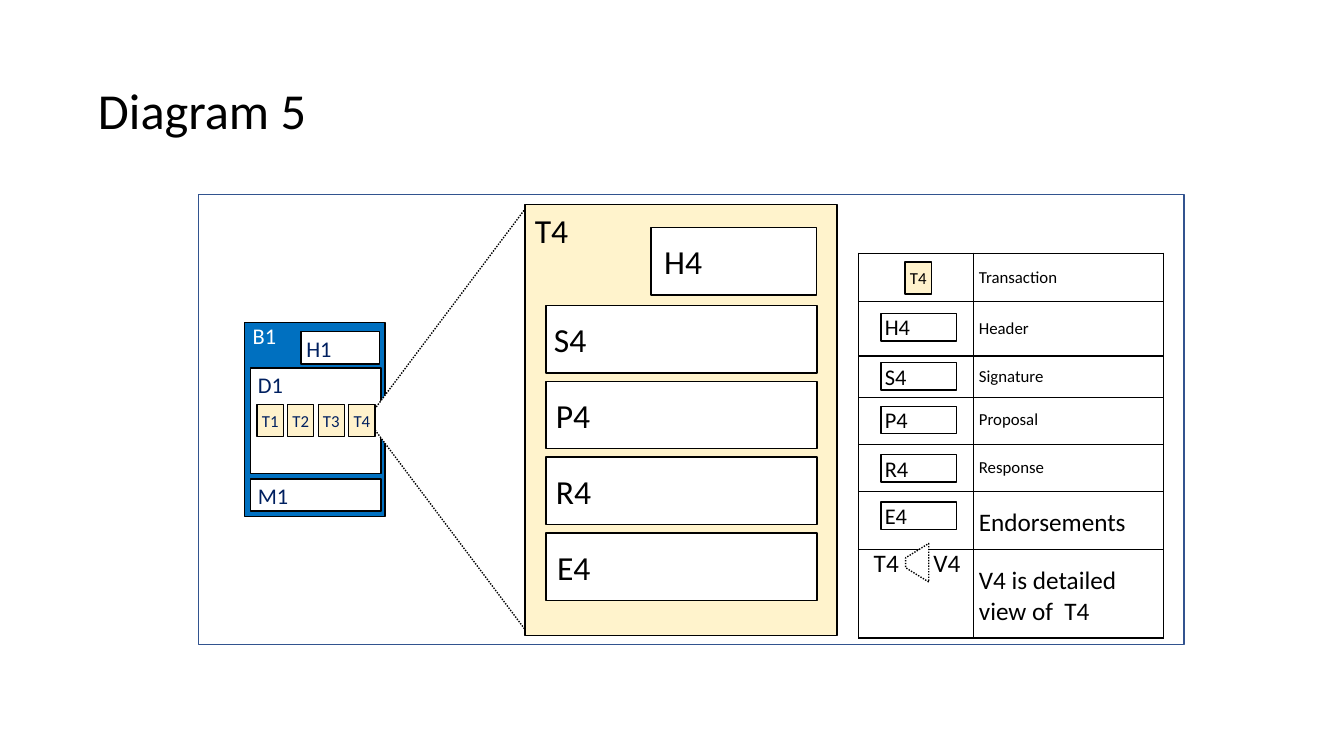
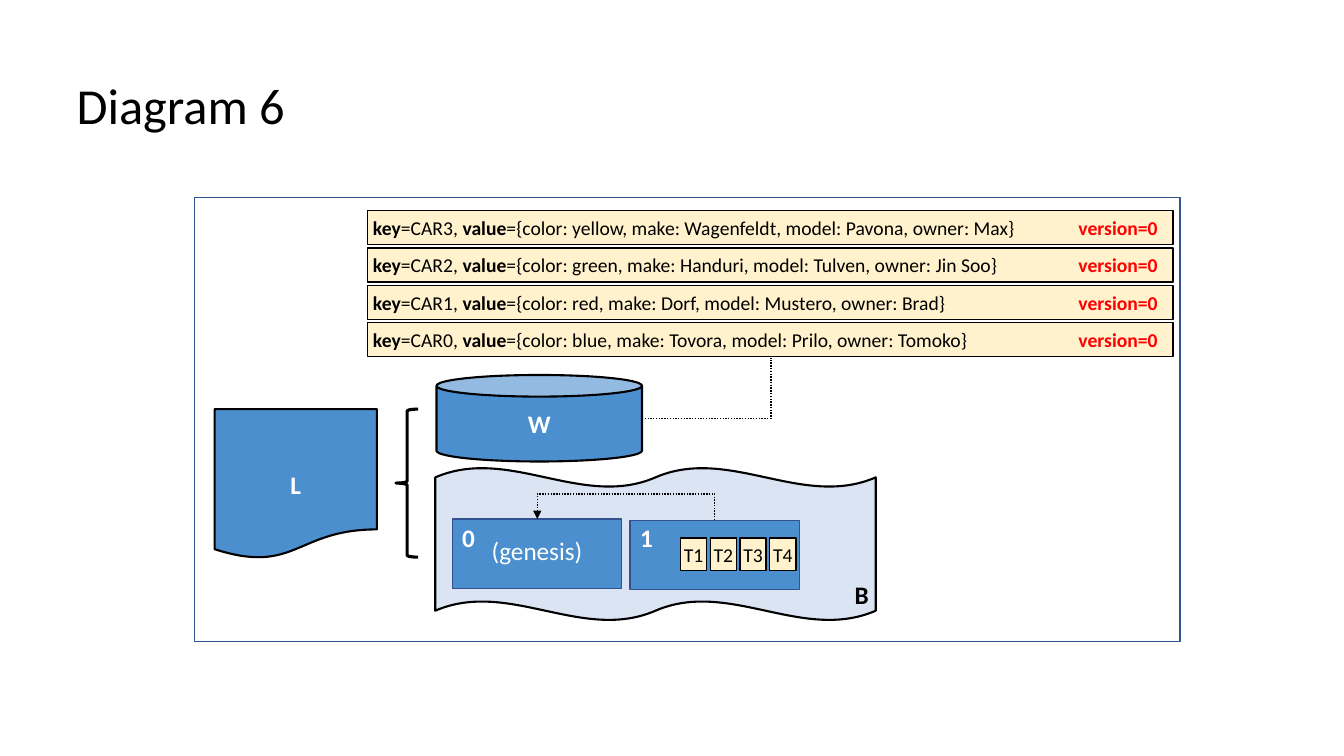
from dataclasses import dataclass, replace
from typing import Any, NamedTuple, Optional

from lxml import etree
from pptx import Presentation
from pptx.dml.color import RGBColor
from pptx.enum.dml import MSO_LINE
from pptx.enum.shapes import MSO_CONNECTOR, MSO_SHAPE
from pptx.enum.text import MSO_ANCHOR, PP_ALIGN
from pptx.oxml.ns import qn
from pptx.util import Cm, Pt

LEFT, CENTER = PP_ALIGN.LEFT, PP_ALIGN.CENTER
TOP, MIDDLE = MSO_ANCHOR.TOP, MSO_ANCHOR.MIDDLE
RECT, TRAPEZOID = MSO_SHAPE.RECTANGLE, MSO_SHAPE.TRAPEZOID
WAVE, DOCUMENT = MSO_SHAPE.DOUBLE_WAVE, MSO_SHAPE.FLOWCHART_DOCUMENT
BRACE, CAN = MSO_SHAPE.LEFT_BRACE, MSO_SHAPE.CAN
ELBOW, DOTTED = MSO_CONNECTOR.ELBOW, MSO_LINE.ROUND_DOT

FONT = "Calibri"
BLACK, WHITE, NAVY, RED = "000000", "FFFFFF", "002060", "FF0000"
BLUE, MID_BLUE, PALE_BLUE, EDGE = "0070C0", "4C8FCF", "DBE4F3", "32538F"
CREAM, PANEL = "FFF2CC", "FFF3CC"


class Box(NamedTuple):
    """Position and size in centimetres."""
    left: float
    top: float
    width: float
    height: float


class Run(NamedTuple):
    """A piece of text that may differ from its style."""
    text: str
    bold: bool = False
    color: Optional[str] = None


@dataclass(frozen=True)
class Look:
    """Fill and outline of a shape."""
    fill: Optional[str] = WHITE
    line: Optional[str] = BLACK
    weight: float = 1
    dash: Any = None


@dataclass(frozen=True)
class Style:
    """Text format; insets run left, top, right, bottom in centimetres."""
    size: float = 18
    color: str = BLACK
    bold: bool = False
    align: Any = LEFT
    anchor: Any = TOP
    insets: tuple[float, float, float, float] = (0.13, 0.13, 0.13, 0.13)
    spacing: Optional[float] = None
    tab: Optional[float] = None


class Field(NamedTuple):
    """A labelled field with its own text indent."""
    label: str
    box: Box
    indent: float


class LegendRow(NamedTuple):
    """One row of the legend table; key_top places its key box."""
    meaning: str
    height: float
    size: float = 12
    top_inset: float = 0.13
    bottom_inset: float = 0.13
    key: str = ""
    key_top: float = 0


class Car(NamedTuple):
    """One record of the world state."""
    key: str
    color: str
    make: str
    model: str
    owner: str


PLAIN, BARE = Look(), Look(None, None)
FRAME, BLOCK = Look(None, EDGE), Look(MID_BLUE, EDGE)
TOKEN, LEDGER = Look(CREAM), Look(MID_BLUE, weight=1.5)
ZOOM = Look(dash=DOTTED)
TITLE = Style(36, spacing=0.9)
TOKEN_TEXT = Style(12, NAVY, align=CENTER, anchor=MIDDLE, insets=(0, 0, 0, 0))
LEDGER_TEXT = Style(18, WHITE, True, CENTER, MIDDLE, (0.13, 0.3, 0.13, 0.3))
NUMBER_TEXT = Style(18, WHITE, True, insets=(0.25, 0.13, 0.25, 0.13))

BLOCK_PARTS = [
    Field("D1", Box(6.32, 9.27, 3.28, 2.67), 0.18),
    Field("M1", Box(6.32, 12.07, 3.28, 0.81), 0.18),
    Field("H1", Box(7.59, 8.36, 1.98, 0.81), 0.13),
]
HEADER_FIELD = Field("H4", Box(16.41, 5.74, 4.17, 1.7), 0.33)
FIELD_INDENTS = {"S4": 0.2, "P4": 0.25, "R4": 0.25, "E4": 0.28}
LEGEND = [
    LegendRow("Transaction", 1.22),
    LegendRow("Header", 1.37, key="H4", key_top=7.9),
    LegendRow("Signature", 1.04, key="S4", key_top=9.14),
    LegendRow("Proposal", 1.19, top_inset=0.1, key="P4", key_top=10.24),
    LegendRow("Response", 1.19, key="R4", key_top=11.46),
    LegendRow("Endorsements", 0.94, 18, 0.4, 0.3, "E4", 12.65),
    LegendRow("V4 is detailed view of  T4", 0.94, 18, 0.4, 0.3),
]
CARS = [
    Car("CAR3", "yellow", "Wagenfeldt", "Pavona", "Max"),
    Car("CAR2", "green", "Handuri", "Tulven", "Jin Soo"),
    Car("CAR1", "red", "Dorf", "Mustero", "Brad"),
    Car("CAR0", "blue", "Tovora", "Prilo", "Tomoko"),
]


def rgb(value: str) -> RGBColor:
    """Turn a hex string into a colour."""
    return RGBColor.from_string(value)


def assign(target: Any, values: dict[str, Any]) -> None:
    """Set each named attribute on the target."""
    for name, value in values.items():
        setattr(target, name, value)


def lengths(box: Box) -> list[Cm]:
    """Convert a box to slide lengths."""
    return [Cm(value) for value in box]


def write(holder: Any, frame: Any, runs: list[Run], style: Style) -> None:
    """Write one paragraph; the holder owns insets and anchor."""
    sides = ("margin_left", "margin_top", "margin_right", "margin_bottom")
    assign(holder, dict(zip(sides, map(Cm, style.insets))))
    assign(holder, {"vertical_anchor": style.anchor, "word_wrap": True})
    paragraph = frame.paragraphs[0]
    assign(paragraph, {"alignment": style.align, "line_spacing": style.spacing})
    if style.tab:
        stops = etree.SubElement(paragraph._p.get_or_add_pPr(), qn("a:tabLst"))
        etree.SubElement(stops, qn("a:tab"), pos=str(Cm(style.tab)), algn="l")
    for part in runs:
        run = paragraph.add_run()
        run.text = part.text
        assign(run.font, {"name": FONT, "size": Pt(style.size),
                          "bold": part.bold or style.bold})
        run.font.color.rgb = rgb(part.color or style.color)


def outline(line: Any, look: Look) -> None:
    """Format a shape outline or a connector."""
    if look.line is None:
        line.fill.background()
        return
    line.color.rgb = rgb(look.line)
    assign(line, {"width": Pt(look.weight), "dash_style": look.dash})


def shape(slide: Any, kind: Any, box: Box, look: Look, text: str | list[Run] = "",
          style: Style = Style()) -> Any:
    """Draw a preset shape with optional text."""
    drawn = slide.shapes.add_shape(kind, *lengths(box))
    drawn.shadow.inherit = False
    if look.fill:
        drawn.fill.solid()
        drawn.fill.fore_color.rgb = rgb(look.fill)
    else:
        drawn.fill.background()
    outline(drawn.line, look)
    if text:
        runs = [Run(text)] if isinstance(text, str) else text
        write(drawn.text_frame, drawn.text_frame, runs, style)
    return drawn


def label(slide: Any, box: Box, text: str, style: Style) -> None:
    """Place text without a visible shape."""
    frame = slide.shapes.add_textbox(*lengths(box)).text_frame
    write(frame, frame, [Run(text)], style)


def zoom(slide: Any, box: Box, slope: float) -> None:
    """Draw a dotted trapezoid that opens to the right."""
    cone = shape(slide, TRAPEZOID, box, ZOOM)
    cone.rotation = 270
    cone.adjustments[0] = slope


def tokens(slide: Any, left: float, top: float, pitch: float, style: Style) -> None:
    """Draw the row of four transactions."""
    for index in range(4):
        box = Box(left + index * pitch, top, 0.66, 0.81)
        shape(slide, RECT, box, TOKEN, f"T{index + 1}", style)


def elbow(slide: Any, begin: tuple[float, float], end: tuple[float, float],
          preset: str, turn: int = 0, bend: Optional[float] = None,
          arrow: bool = False) -> None:
    """Draw a dotted elbow connector; begin and end apply before the turn."""
    link = slide.shapes.add_connector(ELBOW, *map(Cm, begin + end))
    outline(link.line, ZOOM)
    properties = link._element.spPr
    geometry = properties.find(qn("a:prstGeom"))
    geometry.set("prst", preset)
    if turn:
        properties.find(qn("a:xfrm")).set("rot", str(turn * 60000))
    if bend is not None:
        guides = geometry.find(qn("a:avLst"))
        if guides is None:
            guides = etree.SubElement(geometry, qn("a:avLst"))
        etree.SubElement(guides, qn("a:gd"), name="adj1",
                         fmla=f"val {round(bend * 100000)}")
    if arrow:
        etree.SubElement(properties.find(qn("a:ln")), qn("a:tailEnd"), type="triangle")
    etree.SubElement(properties, qn("a:effectLst"))


def border(cell: Any) -> None:
    """Give a cell four black borders and no fill."""
    cell.fill.background()
    for index, side in enumerate(("lnL", "lnR", "lnT", "lnB")):
        edge = etree.Element(qn(f"a:{side}"), w=str(Pt(1)))
        fill = etree.SubElement(edge, qn("a:solidFill"))
        etree.SubElement(fill, qn("a:srgbClr"), val=BLACK)
        cell._tc.get_or_add_tcPr().insert(index, edge)


def legend(slide: Any) -> None:
    """Draw the legend table and its keys."""
    box = Box(21.64, 6.38, 7.68, sum(row.height for row in LEGEND))
    table = slide.shapes.add_table(len(LEGEND), 2, *lengths(box)).table
    assign(table, {"first_row": False, "horz_banding": False})
    for column, width in zip(table.columns, (2.9, 4.78)):
        column.width = Cm(width)
    for index, entry in enumerate(LEGEND):
        table.rows[index].height = Cm(entry.height)
        for cell in table.rows[index].cells:
            border(cell)
        meaning = table.cell(index, 1)
        insets = (0.13, entry.top_inset, 0.13, entry.bottom_inset)
        style = Style(entry.size, anchor=MIDDLE, insets=insets)
        write(meaning, meaning.text_frame, [Run(entry.meaning)], style)
        if entry.key:
            shape(slide, RECT, Box(22.2, entry.key_top, 1.9, 0.69), PLAIN,
                  entry.key, Style(16, insets=(0.1, 0, 0.13, 0.13)))
    shape(slide, RECT, Box(22.81, 6.6, 0.66, 0.81), TOKEN, "T4",
          replace(TOKEN_TEXT, color=BLACK))
    label(slide, Box(21.89, 13.67, 2.46, 1.02), "T4\tV4", Style(tab=1.5))
    zoom(slide, Box(22.63, 13.89, 0.97, 0.58), 0.62)


def transaction_slide(slide: Any) -> None:
    """Show a block and the detail of its fourth transaction."""
    label(slide, Box(2.34, 1.02, 29.21, 3.68), "Diagram 5",
          replace(TITLE, anchor=MIDDLE))
    shape(slide, RECT, Box(5, 4.9, 24.84, 11.35), FRAME)
    shape(slide, RECT, Box(6.17, 8.13, 3.53, 4.88), Look(BLUE), "B1",
          Style(16, WHITE, insets=(0.2, 0, 0, 0)))
    for part in BLOCK_PARTS:
        shape(slide, RECT, part.box, PLAIN, part.label,
              Style(16, NAVY, insets=(part.indent, 0.08, 0, 0)))
    zoom(slide, Box(6.02, 8.66, 10.67, 3.81), 1.33)
    tokens(slide, 6.48, 10.19, 0.77, TOKEN_TEXT)
    shape(slide, RECT, Box(13.23, 5.16, 7.87, 10.85), Look(PANEL), "T4",
          Style(24, insets=(0.25, 0.13, 0.25, 0.13)))
    stacked = [Field(name, Box(13.76, 7.7 + 1.91 * index, 6.83, 1.7), indent)
               for index, (name, indent) in enumerate(FIELD_INDENTS.items())]
    for field in [HEADER_FIELD, *stacked]:
        shape(slide, RECT, field.box, PLAIN, field.label,
              Style(24, anchor=MIDDLE, insets=(field.indent, 0, 0, 0)))
    legend(slide)


def ledger_slide(slide: Any) -> None:
    """Show a ledger made of a world state and a blockchain."""
    label(slide, Box(1.93, 2.03, 30, 1.85), "Diagram 6",
          replace(TITLE, insets=(0, 0, 0, 0)))
    shape(slide, WAVE, Box(10.97, 11.79, 11.1, 3.84), Look(PALE_BLUE, weight=1.5))
    shape(slide, DOCUMENT, Box(5.41, 10.31, 4.09, 3.78), LEDGER, "L",
          replace(LEDGER_TEXT, insets=(0.13, 1.07, 0.13, 0.3)))
    shape(slide, BRACE, Box(9.98, 10.31, 0.56, 3.73), Look(None, weight=2.25))
    for index, car in enumerate(CARS):
        details = (f"={{color: {car.color}, make: {car.make}, "
                   f"model: {car.model}, owner: {car.owner}}}\t")
        record = [Run("key", True), Run(f"={car.key}, "), Run("value", True),
                  Run(details), Run("version=0", True, RED)]
        shape(slide, RECT, Box(9.27, 5.31 + 0.94 * index, 20.29, 0.86), TOKEN,
              record, Style(14, anchor=MIDDLE, tab=17.78))
    shape(slide, RECT, Box(4.9, 4.98, 24.84, 11.18), FRAME)
    shape(slide, CAN, Box(11, 9.45, 5.18, 2.18), LEDGER, "W", LEDGER_TEXT)
    label(slide, Box(21.41, 14.48, 0.61, 1.02), "B", Style(bold=True))
    shape(slide, RECT, Box(11.4, 13.08, 4.27, 1.75), BLOCK, "(genesis)",
          Style(18, WHITE, align=CENTER, insets=(0.13, 0.4, 0.13, 0.13)))
    shape(slide, RECT, Box(15.88, 13.11, 4.27, 1.75), BLOCK)
    for number, left in (("0", 11.4), ("1", 15.88)):
        label(slide, Box(left, 13.02, 0.84, 1.02), number, NUMBER_TEXT)
    tokens(slide, 17.15, 13.56, 0.75, replace(TOKEN_TEXT, size=14, color=BLACK))
    elbow(slide, (15.76, 15.33), (15.79, 10.86), "bentConnector3", 270, 22, True)
    elbow(slide, (16.18, 10.54), (19.43, 9.02), "bentConnector2")


def main() -> None:
    """Build and save the presentation."""
    deck = Presentation()
    assign(deck, {"slide_width": Cm(33.87), "slide_height": Cm(19.05)})
    for build in (transaction_slide, ledger_slide):
        build(deck.slides.add_slide(deck.slide_layouts[6]))
    deck.save("out.pptx")


main()
